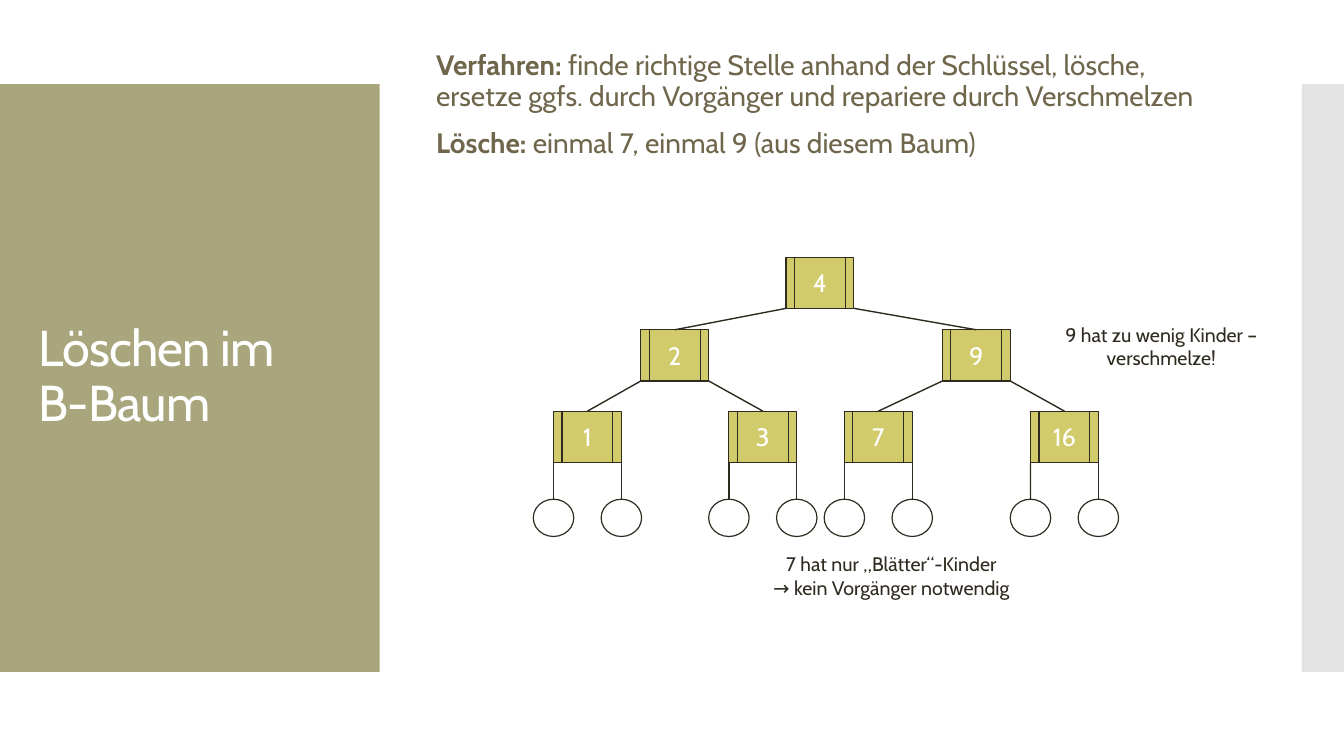
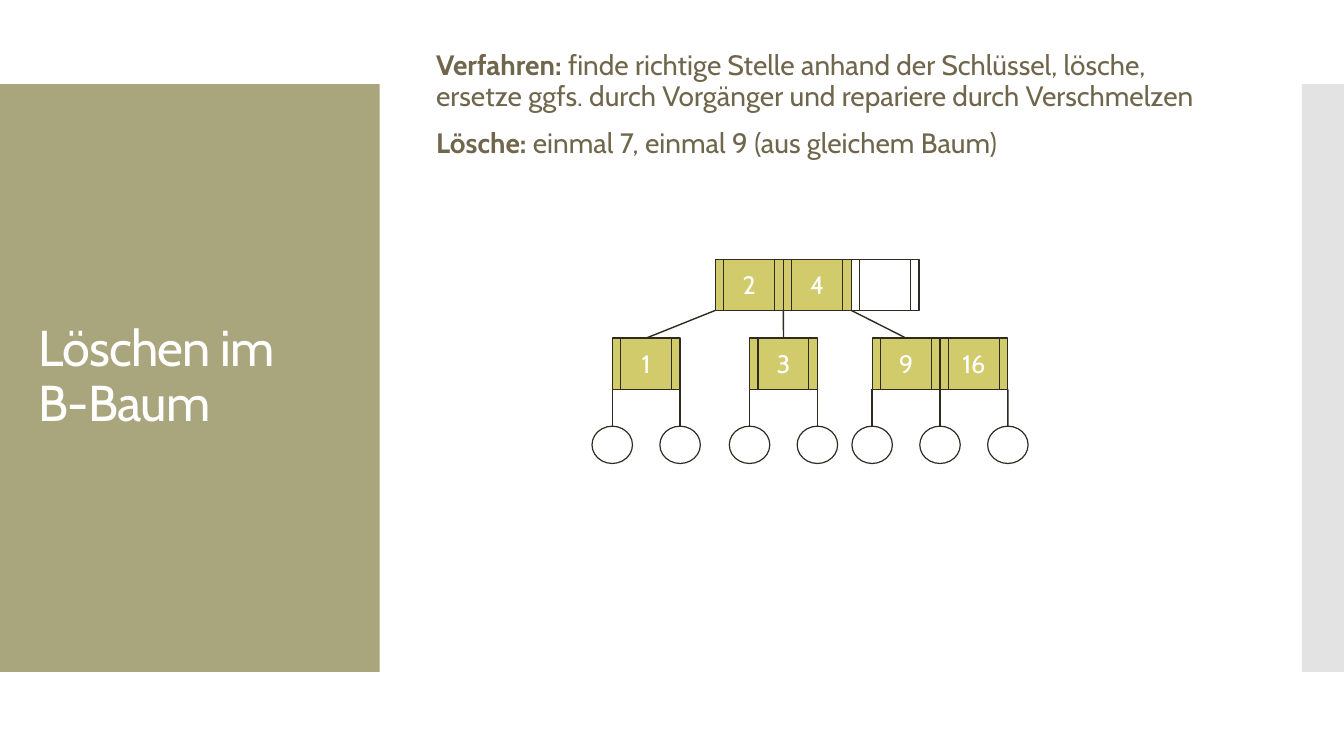
"""Builds two slides on deleting keys from a B-tree."""
from lxml import etree
from pptx import Presentation
from pptx import util as u
from pptx.dml.color import RGBColor
from pptx.enum import shapes, text
from pptx.oxml.ns import qn

Cm, Pt = u.Cm, u.Pt
SHAPE, ALIGN, ANCHOR = shapes.MSO_SHAPE, text.PP_ALIGN, text.MSO_ANCHOR
COLORS = {"panel": "A9A57C", "band": "C8C8C8", "body": "6F664C",
          "key": "D2CB6C", "ink": "2F2B20", "white": "FFFFFF"}
FONT = "Cabin"
CELL_W, CELL_H = 1.71, 1.29
LEAF_W, LEAF_H, LEAF_GAP = 1.02, 0.94, 0.93
TITLE = "Löschen im\vB-Baum"
METHOD = [("Verfahren:", True),
          (" finde richtige Stelle anhand der Schlüssel, lösche, ersetze ggfs. "
           "durch Vorgänger und repariere durch Verschmelzen", False)]


def rgb(name):
    return RGBColor.from_string(COLORS[name])


class Deck:
    def __init__(self):
        self.prs = Presentation()
        self.prs.slide_width, self.prs.slide_height = Cm(33.87), Cm(19.05)
        self.s = None

    def slide(self, task):
        self.s = self.prs.slides.add_slide(self.prs.slide_layouts[6])
        self.shape(SHAPE.RECTANGLE, 0, 2.12, 9.57, 14.81, "panel")
        band = self.shape(SHAPE.RECTANGLE, 32.81, 2.12, 1.06, 14.81, "band")
        color = next(band._element.spPr.iter(qn("a:srgbClr")))
        etree.SubElement(color, qn("a:alpha")).set("val", "50000")
        self.text(0.72, 3.13, 8.17, 12.77, [[(TITLE, False)]], 36, "white",
                  spacing=-60, line_spacing=0.9)
        self.text(10.74, 0.84, 20.32, 3.63,
                  [METHOD, [("Lösche: ", True), (task, False)]], 20, "body",
                  line_spacing=0.9, space_before=Pt(12))

    def shape(self, kind, x, y, w, h, fill, line=None):
        sp = self.s.shapes.add_shape(kind, Cm(x), Cm(y), Cm(w), Cm(h))
        sp.shadow.inherit = False
        sp.fill.solid()
        sp.fill.fore_color.rgb = rgb(fill)
        if line:
            sp.line.color.rgb, sp.line.width = rgb(line), Pt(0.85)
        else:
            sp.line.fill.background()
        return sp

    def fill_text(self, tf, paragraphs, size, color, spacing=None, **layout):
        fmt = {"name": FONT, "size": Pt(size)}
        for i, parts in enumerate(paragraphs):
            p = tf.add_paragraph() if i else tf.paragraphs[0]
            for key, value in layout.items():
                setattr(p, key, value)
            for words, bold in parts:
                for j, piece in enumerate(words.split("\v")):
                    if j:
                        p.add_line_break()
                    r = p.add_run()
                    r.text = piece
                    for key, value in {**fmt, "bold": bold}.items():
                        setattr(r.font, key, value)
                    r.font.color.rgb = rgb(color)
                    if spacing:
                        r._r.get_or_add_rPr().set("spc", str(spacing))

    def text(self, x, y, w, h, paragraphs, size, color, anchor=ANCHOR.MIDDLE, **style):
        tf = self.s.shapes.add_textbox(Cm(x), Cm(y), Cm(w), Cm(h)).text_frame
        tf.word_wrap, tf.vertical_anchor = True, anchor
        self.fill_text(tf, paragraphs, size, color, **style)

    def caption(self, x, y, w, *lines):
        self.text(x, y, w, 1.45, [[(line, False)] for line in lines], 14, "ink",
                  ANCHOR.TOP, alignment=ALIGN.CENTER)

    def edge(self, x, y, target):
        c = self.s.shapes.add_connector(shapes.MSO_CONNECTOR.STRAIGHT,
                                        Cm(x), Cm(y), Cm(x), Cm(y))
        c.end_connect(target, 0)
        c.line.color.rgb, c.line.width = rgb("ink"), Pt(1)
        etree.SubElement(c._element.spPr, qn("a:effectLst"))

    def cell(self, x, y, key):
        sp = self.shape(SHAPE.FLOWCHART_PREDEFINED_PROCESS, x, y, CELL_W, CELL_H,
                        "key" if key else "white", "ink")
        if key:
            sp.text_frame.vertical_anchor = ANCHOR.MIDDLE
            self.fill_text(sp.text_frame, [[(key, False)]], 18, "white",
                           alignment=ALIGN.CENTER)
        return sp

    def leaf(self, x, y):
        return self.shape(SHAPE.OVAL, x - LEAF_W / 2, y, LEAF_W, LEAF_H,
                          "white", "ink")

    def tree(self, tops, x, keys, *children):
        y = tops[0]
        bottom = y + CELL_H
        cells = [self.cell(x + i * CELL_W, y, key) for i, key in enumerate(keys)]
        for i in range(len(children) or len(keys) + 1):
            gap_x = x + i * CELL_W
            if children:
                target = self.tree(tops[1:], *children[i])
            else:
                target = self.leaf(gap_x, bottom + LEAF_GAP)
            self.edge(gap_x, bottom, target)
        return cells[0]


def main():
    deck = Deck()
    deck.slide("einmal 7, einmal 9 (aus diesem Baum)")
    deck.tree([6.48, 8.31, 10.36], 19.81, ["4"],
              (16.15, ["2"], (13.95, ["1"]), (18.37, ["3"])),
              (23.75, ["9"], (21.28, ["7"]), (25.97, ["16"])))
    deck.caption(19, 13.79, 6.93, "7 hat nur „Blätter“-Kinder",
                 "→ kein Vorgänger notwendig")
    deck.caption(26.49, 8, 5.56, "9 hat zu wenig Kinder – verschmelze!")

    deck.slide("einmal 7, einmal 9 (aus gleichem Baum)")
    deck.tree([6.53, 8.52], 18.03, ["2", "4", ""],
              (15.43, ["1"]), (18.89, ["3"]), (21.98, ["9", "16"]))
    deck.prs.save("out.pptx")


if __name__ == "__main__":
    main()
